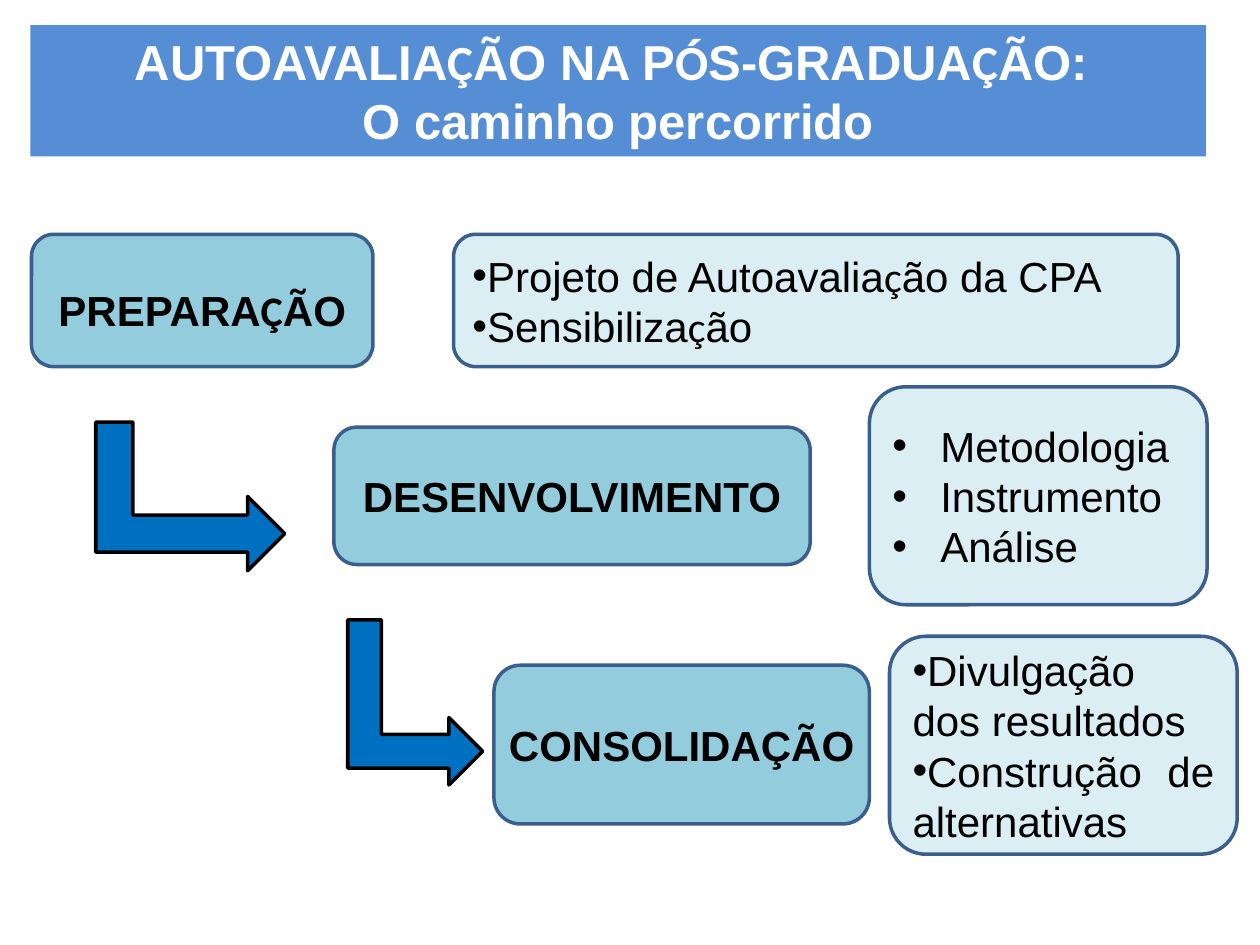
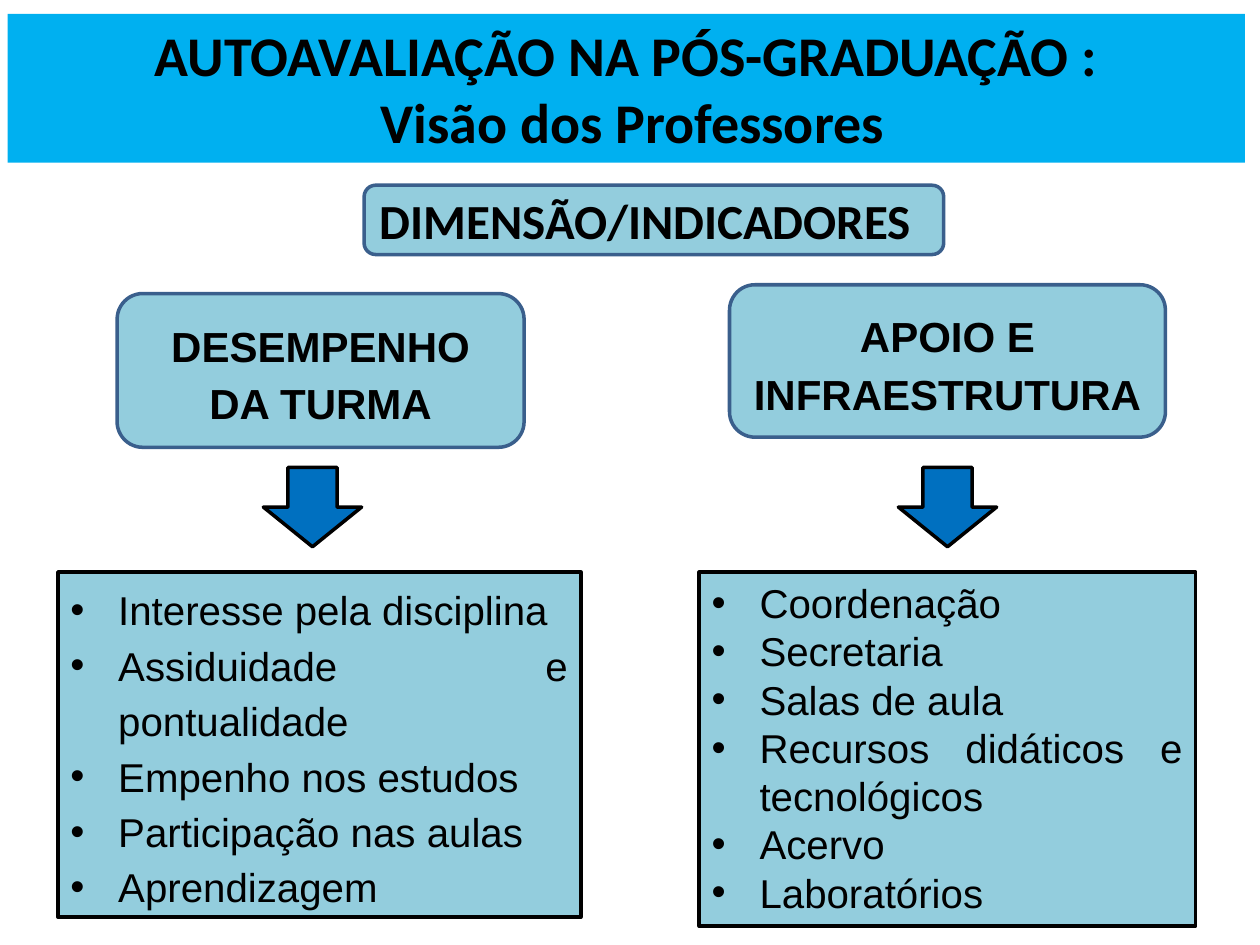
from pptx import Presentation
from pptx.dml.color import RGBColor as Rgb
from pptx.enum.shapes import MSO_SHAPE as Kind
from pptx.enum.text import MSO_ANCHOR as Anchor, MSO_AUTO_SIZE as Fit, PP_ALIGN as Align
from pptx.oxml.ns import qn
from pptx.util import Inches, Pt
from lxml.etree import SubElement as Sub

WIDE, HIGH = Inches(10), Inches(7.5)
COLS, ROWS = 100, 75
HUES = {
    "band": "558ED5", "sky": "00B0F0", "stage": "93CDDD", "pale": "DBEEF4",
    "edge": "3A5F8C", "arrow": "0070C0", "ink": "000000", "white": "FFFFFF",
}
FONTS = "Arial", "Calibri"
HANG = 0.38


def hue(name):
    return Rgb.from_string(HUES[name])


def place(col, row, cols, rows):
    wide, high = WIDE / COLS, HIGH / ROWS
    return [round(n) for n in (col * wide, row * high, cols * wide, rows * high)]


def bullet(par, hang):
    props = par._p.get_or_add_pPr()
    props.set("marL", str(Inches(hang)))
    props.set("indent", str(-Inches(hang)))
    Sub(props, qn("a:buFont"), typeface="Arial")
    Sub(props, qn("a:buChar"), char="•")


def write(frame, lines, size=24, bold=True, ink="ink", fonts=FONTS,
          align=Align.CENTER, anchor=Anchor.MIDDLE, space=None, after=None, hang=None):
    # A bar in a line switches between the two fonts.
    frame.word_wrap = True
    frame.vertical_anchor = anchor
    for num, line in enumerate(lines):
        par = frame.paragraphs[0] if num == 0 else frame.add_paragraph()
        par.alignment = align
        if space:
            par.line_spacing = space
        if after and num == len(lines) - 1:
            par.space_after = Pt(after)
        if hang is not None:
            bullet(par, hang)
        for turn, part in enumerate(line.split("|")):
            run = par.add_run()
            run.text = part
            run.font.name = fonts[turn % len(fonts)]
            run.font.size = Pt(size)
            run.font.bold = bold
            run.font.color.rgb = hue(ink)


def draw(slide, kind, spot, fill, edge):
    shape = slide.shapes.add_shape(kind, *place(*spot))
    shape.shadow.inherit = False
    shape.fill.solid()
    shape.fill.fore_color.rgb = hue(fill)
    shape.line.color.rgb = hue(edge)
    shape.line.width = Pt(2)
    return shape


def title(slide, spot, fill, lines, **style):
    head = slide.shapes.title
    head.left, head.top, head.width, head.height = place(*spot)
    head.fill.solid()
    head.fill.fore_color.rgb = hue(fill)
    write(head.text_frame, lines, **style)
    head.text_frame.auto_size = Fit.SHAPE_TO_FIT_TEXT


def stage(slide, spot, text, **style):
    shape = draw(slide, Kind.ROUNDED_RECTANGLE, spot, "stage", "edge")
    write(shape.text_frame, [text], **style)
    return shape.text_frame


def points(slide, spot, lines, kind=Kind.ROUNDED_RECTANGLE, fill="pale",
           edge="edge", hang=HANG, **style):
    shape = draw(slide, kind, spot, fill, edge)
    write(shape.text_frame, lines, bold=False, align=Align.JUSTIFY, hang=hang, **style)


def arrow(slide, kind, spot, turn=0):
    draw(slide, kind, spot, "arrow", "ink").rotation = turn


def path_slide(slide):
    title(slide, (2.4, 2, 93.3, 10.4), "band",
          ["AUTOAVALIA|Ç|ÃO NA P|Ó|S-GRADUA|Ç|ÃO: ", "O caminho percorrido"],
          size=28, ink="white")
    for spot in (9.2, 31.9, 11.8, 15), (26.4, 50.4, 13.1, 10.7):
        arrow(slide, Kind.BENT_UP_ARROW, spot, 90)
    first = stage(slide, (2.5, 18.6, 27.1, 10.5), "PREPARA|Ç|ÃO")
    first.margin_top = Inches(0.19)
    stage(slide, (26.5, 33.9, 37.8, 10.9), "DESENVOLVIMENTO")
    last = stage(slide, (39.2, 52.8, 29.8, 12.6), "CONSOLIDAÇÃO")
    last.word_wrap = False
    points(slide, (36, 18.6, 57.5, 10.5),
           ["Projeto de Autoavalia|ç|ão da CPA", "Sensibiliza|ç|ão"], hang=0)
    points(slide, (69, 30.7, 26.8, 17.3), ["Metodologia", "Instrumento", "Análise"])
    points(slide, (70.6, 50.5, 27.6, 17.3),
           ["Divulgação dos resultados", "Construção de alternativas"], hang=0)


def view_slide(slide):
    plain = FONTS[1:]
    title(slide, (0.6, 1.1, 98.2, 11.8), "sky",
          ["AUTOAVALIAÇÃO NA PÓS-GRADUAÇÃO :", " Visão dos Professores"],
          size=32, fonts=plain, anchor=Anchor.TOP)
    stage(slide, (28.9, 14.7, 46, 5.5), "DIMENSÃO/INDICADORES",
          size=28, fonts=plain, align=Align.LEFT)
    loose = {"space": 1.15, "after": 10}
    stage(slide, (9.3, 23.3, 32.3, 12.2), "DESEMPENHO DA TURMA", **loose)
    stage(slide, (57.9, 22.6, 34.6, 12.1), "APOIO E INFRAESTRUTURA", **loose)
    for col in 20.9, 71.3:
        arrow(slide, Kind.DOWN_ARROW, (col, 37.1, 7.8, 6.3))
    panel = {"kind": Kind.RECTANGLE, "fill": "stage", "edge": "ink",
             "size": 23, "anchor": Anchor.TOP}
    points(slide, (4.6, 45.4, 41.5, 27.4),
           ["Interesse pela disciplina", "Assiduidade e pontualidade",
            "Empenho nos estudos", "Participação nas aulas", "Aprendizagem"],
           **panel, **loose)
    points(slide, (55.5, 45.4, 39.4, 28.1),
           ["Coordenação", "Secretaria", "Salas de aula",
            "Recursos didáticos e tecnológicos", "Acervo", "Laboratórios"], **panel)


def main():
    deck = Presentation()
    deck.slide_width, deck.slide_height = WIDE, HIGH
    for build in path_slide, view_slide:
        build(deck.slides.add_slide(deck.slide_layouts[5]))
    deck.save("out.pptx")


main()
